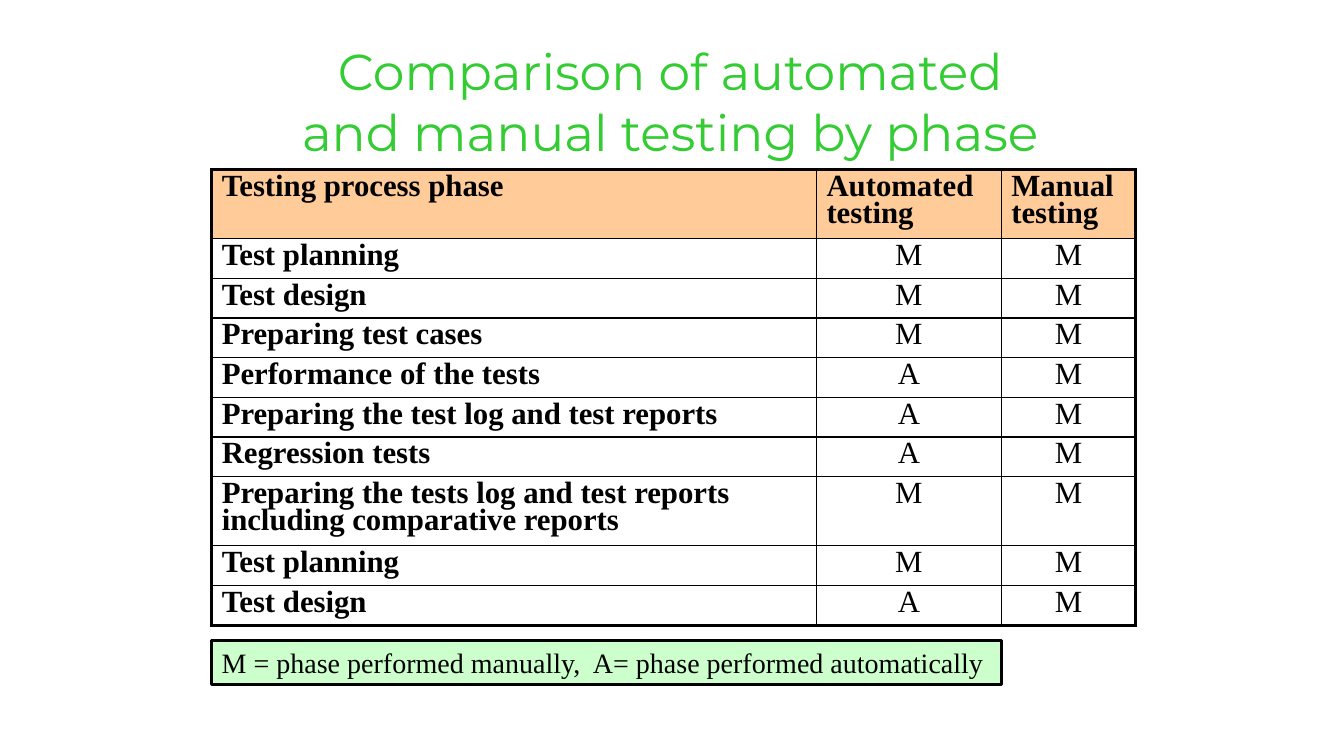
import pptx
import pptx.dml.color
import pptx.enum.shapes
import pptx.enum.text
import pptx.oxml
import pptx.oxml.ns
import pptx.util
from dataclasses import dataclass

Pt = pptx.util.Pt
RGB = pptx.dml.color.RGBColor.from_string
ALIGN = pptx.enum.text.PP_ALIGN


@dataclass(frozen=True)
class Theme:
    title_font: str = "Montserrat"
    body_font: str = "Times New Roman"
    title_size: int = 36
    table_size: int = 22
    legend_size: int = 20
    title_color: str = "33CC33"
    ink: str = "000000"
    header_fill: str = "FFCC99"
    legend_fill: str = "CCFFCC"
    outer_rule: float = 2.25
    inner_rule: float = 1


THEME = Theme()

HEADINGS = ("Testing process phase", "Automated testing", "Manual testing")
PHASES = (
    ("Test planning", "M", "M"),
    ("Test design", "M", "M"),
    ("Preparing test cases", "M", "M"),
    ("Performance of the tests", "A", "M"),
    ("Preparing the test log and test reports", "A", "M"),
    ("Regression tests", "A", "M"),
    ("Preparing the tests log and test reports including comparative reports", "M", "M"),
    ("Test planning", "M", "M"),
    ("Test design", "A", "M"),
)
COLUMN_WIDTHS = (432, 132, 96)
SINGLE_ROW, DOUBLE_ROW = 28.35, 49.4
DOUBLE_ROWS = (0, 7)
LEFT = 151.2


def set_attributes(target, values):
    for name, value in values.items():
        setattr(target, name, value)


def write(paragraph, text, font, size, color, bold=False, layout=None):
    """Put one formatted run into a paragraph."""
    set_attributes(paragraph, layout or {})
    run = paragraph.add_run()
    run.text = text
    set_attributes(run.font, {"name": font, "size": Pt(size), "bold": bold})
    run.font.color.rgb = RGB(color)


def draw_borders(cell, widths):
    """Rule the cell edges; widths run left, right, top, bottom."""
    properties = cell._tc.get_or_add_tcPr()
    for side, width in zip("LRTB", widths):
        properties.append(pptx.oxml.parse_xml(
            f'<a:ln{side} {pptx.oxml.ns.nsdecls("a")} w="{Pt(width)}">'
            f'<a:solidFill><a:srgbClr val="{THEME.ink}"/></a:solidFill></a:ln{side}>'))


def add_title(slide, lines):
    title = slide.shapes.add_textbox(Pt(198.8), Pt(25.2), Pt(560), Pt(85.7))
    frame = title.text_frame
    frame.word_wrap = True
    for index, line in enumerate(lines):
        paragraph = frame.add_paragraph() if index else frame.paragraphs[0]
        write(paragraph, line, THEME.title_font, THEME.title_size,
              THEME.title_color, layout={"alignment": ALIGN.CENTER})


def add_phase_table(slide, rows):
    heights = [DOUBLE_ROW if index in DOUBLE_ROWS else SINGLE_ROW
               for index in range(len(rows))]
    table = slide.shapes.add_table(
        len(rows), len(COLUMN_WIDTHS), Pt(LEFT), Pt(121),
        Pt(sum(COLUMN_WIDTHS)), Pt(sum(heights))).table
    set_attributes(table, {"first_row": False, "horz_banding": False})
    for column, width in zip(table.columns, COLUMN_WIDTHS):
        column.width = Pt(width)

    last_row, last_column = len(rows) - 1, len(COLUMN_WIDTHS) - 1
    for r, (phase_row, height) in enumerate(zip(rows, heights)):
        table.rows[r].height = Pt(height)
        for c, text in enumerate(phase_row):
            cell = table.cell(r, c)
            is_label = r == 0 or c == 0
            write(cell.text_frame.paragraphs[0], text, THEME.body_font,
                  THEME.table_size, THEME.ink, bold=is_label,
                  layout={"alignment": ALIGN.LEFT if is_label else ALIGN.CENTER,
                          "line_spacing": 0.8})
            # Heavy rules only on the outside of the table
            on_edge = (c == 0, c == last_column, r == 0, r == last_row)
            draw_borders(cell, [THEME.outer_rule if edge else THEME.inner_rule
                                for edge in on_edge])
            if r == 0:
                cell.fill.solid()
                cell.fill.fore_color.rgb = RGB(THEME.header_fill)
            else:
                cell.fill.background()


def add_legend(slide, text):
    legend = slide.shapes.add_shape(
        pptx.enum.shapes.MSO_SHAPE.RECTANGLE, Pt(LEFT), Pt(457.5), Pt(564.3), Pt(31.5))
    legend.shadow.inherit = False
    legend.fill.solid()
    legend.fill.fore_color.rgb = RGB(THEME.legend_fill)
    legend.line.color.rgb = RGB(THEME.ink)
    legend.line.width = Pt(THEME.outer_rule)
    set_attributes(legend.text_frame, {
        "word_wrap": True,
        "vertical_anchor": pptx.enum.text.MSO_ANCHOR.TOP,
    })
    write(legend.text_frame.paragraphs[0], text, THEME.body_font,
          THEME.legend_size, THEME.ink, layout={"alignment": ALIGN.LEFT})


def main():
    deck = pptx.Presentation()
    set_attributes(deck, {"slide_width": Pt(960), "slide_height": Pt(540)})
    slide = deck.slides.add_slide(deck.slide_layouts[6])

    # Phase comparison
    add_phase_table(slide, (HEADINGS,) + PHASES)
    # Key to the letters
    add_legend(slide, "M = phase performed manually,  A= phase performed automatically")
    # Heading
    add_title(slide, ("Comparison of automated", "and manual testing by phase"))

    deck.save("out.pptx")


if __name__ == "__main__":
    main()
